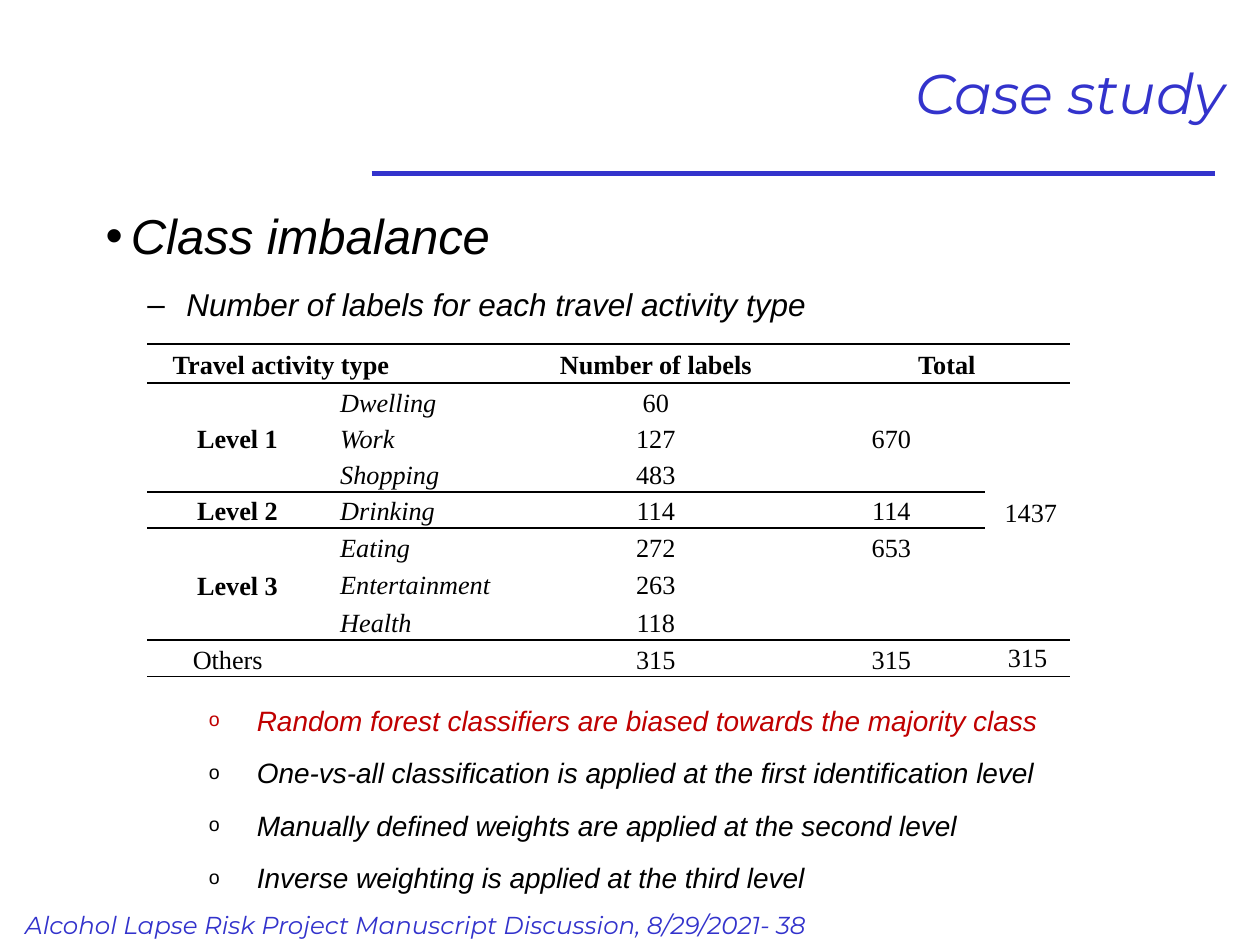
import pptx
import pptx.dml.color
import pptx.enum.shapes
import pptx.enum.text
import pptx.oxml
import pptx.oxml.ns
import pptx.util
from dataclasses import dataclass

Inches, Pt = pptx.util.Inches, pptx.util.Pt
ALIGN, ANCHOR = pptx.enum.text.PP_ALIGN, pptx.enum.text.MSO_ANCHOR
qn = pptx.oxml.ns.qn


@dataclass(frozen=True)
class Theme:
    accent: str = "3333CC"
    ink: str = "000000"
    warning: str = "C00000"
    display: str = "Montserrat"
    body: str = "Arial"
    table: str = "Times New Roman"
    title_size: int = 32
    topic_size: int = 28
    subtopic_size: int = 18
    point_size: int = 16
    footer_size: int = 14
    table_size: int = 15


THEME = Theme()

TITLE = "Case study"
FOOTER = "Alcohol Lapse Risk Project Manuscript Discussion, 8/29/2021- 38"
# text, level, colour
INTRO = [
    ("Class imbalance", 0, THEME.ink),
    ("Number of labels for each travel activity type", 1, THEME.ink),
]
POINTS = [
    ("Random forest classifiers are biased towards the majority class", 2, THEME.warning),
    ("One-vs-all classification is applied at the first identification level", 2, THEME.ink),
    ("Manually defined weights are applied at the second level", 2, THEME.ink),
    ("Inverse weighting is applied at the third level", 2, THEME.ink),
]
# bullet, bullet size in percent, left margin, hanging indent, type size
LEVELS = [
    ("•", 100, 0.2, 0.2, THEME.topic_size),
    ("–", 100, 0.64, 0.31, THEME.subtopic_size),
    ("o", 70, 1.2, 0.38, THEME.point_size),
]

LABEL_COUNTS = [
    ("Travel activity type", "", "Number of labels", "Total", ""),
    ("Level 1", "Dwelling", "60", "670", "1437"),
    ("", "Work", "127", "", ""),
    ("", "Shopping", "483", "", ""),
    ("Level 2", "Drinking", "114", "114", ""),
    ("Level 3", "Eating", "272", "653", ""),
    ("", "Entertainment", "263", "", ""),
    ("", "Health", "118", "", ""),
    ("Others", "", "315", "315", "315"),
]
LAST = len(LABEL_COUNTS) - 1
COLUMNS = [1.43, 1.48, 2.25, 1.49, 0.67]
HEADER_HEIGHT, ROW_HEIGHT = 0.31, 2.27 / LAST
ACTIVITY, GRAND_TOTAL = 1, 4
MERGES = [((0, 0), (0, 1)), ((0, 3), (0, 4)), ((1, 0), (3, 0)), ((1, 3), (3, 3)),
          ((1, 4), (7, 4)), ((5, 0), (7, 0)), ((8, 0), (8, 1))]
RULES = {0, 1, 4, 5, 8, 9}
SHORT_RULES = {4, 5}  # these stop before the grand total
CELL_FORMATS = {
    (0, 0): {"alignment": ALIGN.LEFT, "margin_left": Inches(0.2)},
    (0, 3): {"margin_left": Inches(0.31)},
    (1, GRAND_TOTAL): {"alignment": ALIGN.RIGHT},
    (LAST, 0): {"alignment": ALIGN.LEFT, "margin_left": Inches(0.36)},
    (LAST, GRAND_TOTAL): {"vertical_anchor": ANCHOR.TOP},
}
NO_STYLE_NO_GRID = "{2D5ABB26-0587-4C30-8999-92F81FD0307C}"


def apply(target, **values):
    for key, value in values.items():
        setattr(target, key, value)


def write(paragraph, text, size, face, color, bold=False, italic=True):
    run = paragraph.add_run()
    run.text = text
    apply(run.font, size=Pt(size), name=face, bold=bold, italic=italic)
    run.font.color.rgb = pptx.dml.color.RGBColor.from_string(color)


def add_box(slide, left, top, width, height, **frame_format):
    box = slide.shapes.add_textbox(*map(Inches, (left, top, width, height)))
    apply(box.text_frame, word_wrap=True, **frame_format)
    return box.text_frame


def add_element(parent, tag, **attributes):
    element = pptx.oxml.ns.qn(tag)
    child = parent.makeelement(element, {k: str(v) for k, v in attributes.items()})
    parent.append(child)
    return child


def add_bullets(slide, items, top, height):
    frame = add_box(slide, 0.74, top, 9.08, height)
    for index, (text, level, color) in enumerate(items):
        bullet, percent, margin, hang, size = LEVELS[level]
        paragraph = frame.add_paragraph() if index else frame.paragraphs[0]
        apply(paragraph, level=level, line_spacing=1.5, space_before=Pt(1.2))
        properties = paragraph._p.get_or_add_pPr()
        properties.set("marL", str(Inches(margin)))
        properties.set("indent", str(-Inches(hang)))
        add_element(properties, "a:buSzPct", val=percent * 1000)
        add_element(properties, "a:buFont", typeface=THEME.body)
        add_element(properties, "a:buChar", char=bullet)
        write(paragraph, text, size, THEME.body, color)


def rule_cell(cell, row, column):
    """Draw the horizontal rules above and below a cell, and no others."""
    properties = cell._tc.get_or_add_tcPr()
    below = row + (cell.span_height if cell.is_merge_origin else 1)
    for side, edge in (("L", None), ("R", None), ("T", row), ("B", below)):
        ruled = edge in RULES and not (column == GRAND_TOTAL and edge in SHORT_RULES)
        line = add_element(properties, f"a:ln{side}", w=Pt(1))
        fill = add_element(line, "a:solidFill" if ruled else "a:noFill")
        if ruled:
            add_element(fill, "a:srgbClr", val=THEME.ink)


def add_label_counts(slide):
    height = HEADER_HEIGHT + LAST * ROW_HEIGHT
    table = slide.shapes.add_table(
        len(LABEL_COUNTS), len(COLUMNS),
        *map(Inches, (1.17, 2.73, sum(COLUMNS), height))).table
    apply(table, first_row=False, horz_banding=False)
    table._tbl.tblPr.find(qn("a:tableStyleId")).text = NO_STYLE_NO_GRID
    for column, width in zip(table.columns, COLUMNS):
        column.width = Inches(width)
    for index, row in enumerate(table.rows):
        row.height = Inches(ROW_HEIGHT if index else HEADER_HEIGHT)
    for first, last in MERGES:
        table.cell(*first).merge(table.cell(*last))

    for r, values in enumerate(LABEL_COUNTS):
        for c, text in enumerate(values):
            cell = table.cell(r, c)
            activity = c == ACTIVITY and 0 < r < LAST
            style = {"alignment": ALIGN.LEFT if activity else ALIGN.CENTER,
                     "vertical_anchor": ANCHOR.MIDDLE,
                     "margin_left": Inches(0.1), "margin_right": Inches(0.1),
                     "margin_top": 0, "margin_bottom": 0,
                     **CELL_FORMATS.get((r, c), {})}
            paragraph = cell.text_frame.paragraphs[0]
            apply(paragraph, alignment=style.pop("alignment"), line_spacing=1.15)
            apply(cell, **style)
            write(paragraph, text, THEME.table_size, THEME.table, THEME.ink,
                  bold=r == 0 or (c == 0 and r < LAST), italic=activity)
            rule_cell(cell, r, c)
            cell.fill.background()


def add_title_rule(slide):
    rule = slide.shapes.add_connector(
        pptx.enum.shapes.MSO_CONNECTOR.STRAIGHT, *map(Inches, (2.95, 1.38, 9.64, 1.38)))
    rule.line.width = Pt(3)
    rule.line.color.rgb = pptx.dml.color.RGBColor.from_string(THEME.accent)
    add_element(rule._element.spPr, "a:effectLst")


def main():
    deck = pptx.Presentation()
    apply(deck, slide_width=Inches(10), slide_height=Inches(7.5))
    slide = deck.slides.add_slide(deck.slide_layouts[6])

    add_title_rule(slide)
    footer = add_box(slide, 0, 7.17, 7.28, 0.34, margin_left=Inches(0.2))
    write(footer.paragraphs[0], FOOTER, THEME.footer_size, THEME.display, THEME.accent)
    title = add_box(slide, 0.74, 0.14, 9.08, 1.18, vertical_anchor=ANCHOR.MIDDLE)
    title.paragraphs[0].alignment = ALIGN.RIGHT
    write(title.paragraphs[0], TITLE, THEME.title_size, THEME.display, THEME.accent)
    add_bullets(slide, INTRO, top=1.35, height=1.3)
    add_label_counts(slide)
    add_bullets(slide, POINTS, top=5.4, height=1.75)

    deck.save("out.pptx")


if __name__ == "__main__":
    main()
